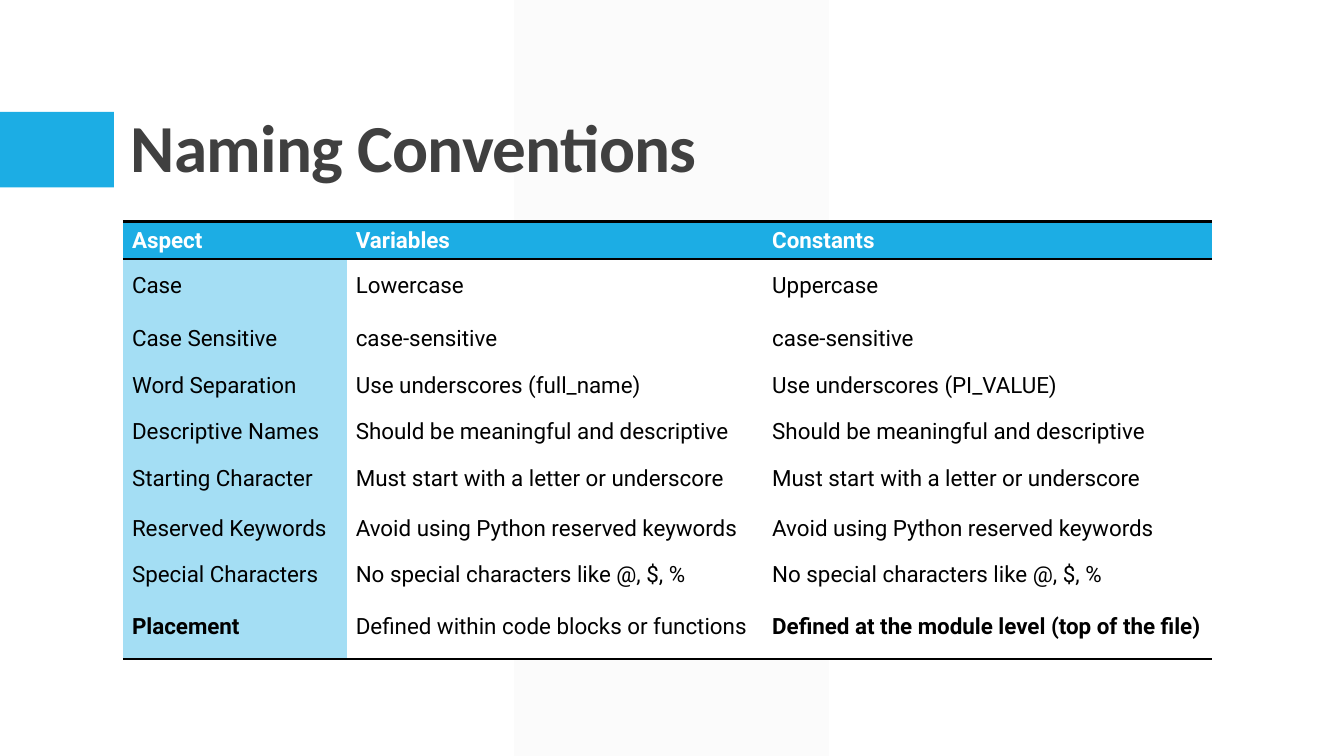
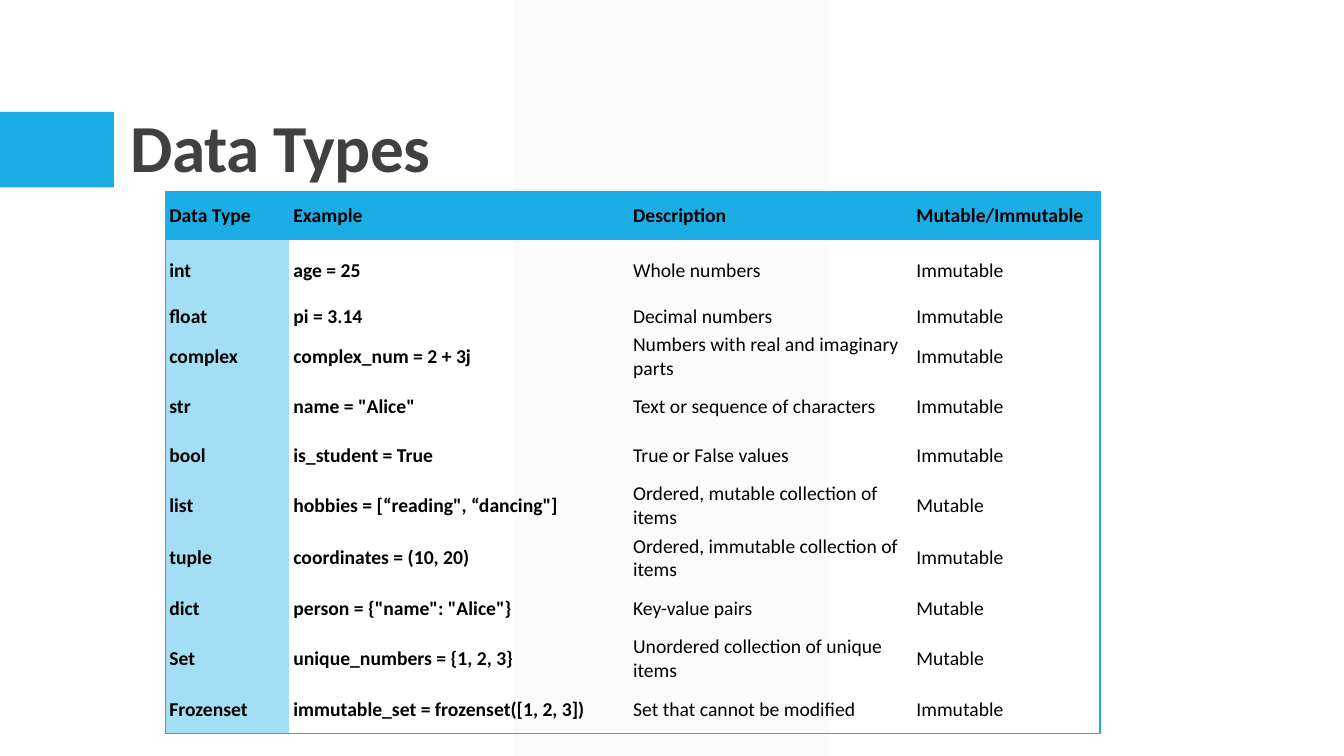
import pptx
import pptx.dml.color
import pptx.enum.shapes
import pptx.enum.text
import pptx.oxml.ns
import pptx.util
import lxml.etree

WIDE = pptx.util.Inches(13.33)
HIGH = pptx.util.Inches(7.5)
TONES = {
    "blue": "1CADE4",
    "pale": "A4DEF4",
    "band": "F2F2F2",
    "title": "404040",
    "ink": "000000",
    "white": "FFFFFF",
}
PLAIN = "{2D5ABB26-0587-4C30-8999-92F81FD0307C}"

NAMING = [
    ("Aspect", "Variables", "Constants"),
    ("Case", "Lowercase", "Uppercase"),
    ("Case Sensitive", "case-sensitive", "case-sensitive"),
    ("Word Separation", "Use underscores (full_name)", "Use underscores (PI_VALUE)"),
    ("Descriptive Names",) + ("Should be meaningful and descriptive",) * 2,
    ("Starting Character",) + ("Must start with a letter or underscore",) * 2,
    ("Reserved Keywords",) + ("Avoid using Python reserved keywords",) * 2,
    ("Special Characters",) + ("No special characters like @, $, %",) * 2,
    (
        "Placement",
        "Defined within code blocks or functions",
        "Defined at the module level (top of the file)",
    ),
]
TYPES = [
    ("Data Type", "Example", "Description", "Mutable/Immutable"),
    ("int", "age = 25", "Whole numbers", "Immutable"),
    ("float", "pi = 3.14", "Decimal numbers", "Immutable"),
    ("complex", "complex_num = 2 + 3j", "Numbers with real and imaginary parts", "Immutable"),
    ("str", 'name = "Alice"', "Text or sequence of characters", "Immutable"),
    ("bool", "is_student = True", "True or False values", "Immutable"),
    ("list", 'hobbies = [“reading", “dancing"]', "Ordered, mutable collection of items", "Mutable"),
    ("tuple", "coordinates = (10, 20)", "Ordered, immutable collection of items", "Immutable"),
    ("dict", 'person = {"name": "Alice"}', "Key-value pairs", "Mutable"),
    ("Set", "unique_numbers = {1, 2, 3}", "Unordered collection of unique items", "Mutable"),
    ("Frozenset", "immutable_set = frozenset([1, 2, 3])", "Set that cannot be modified", "Immutable"),
]


def tone(name):
    return pptx.dml.color.RGBColor.from_string(TONES[name])


def place(left, top, width, height):
    return [
        round(side * share / 100)
        for side, share in zip((WIDE, HIGH, WIDE, HIGH), (left, top, width, height))
    ]


def node(home, tag, **marks):
    return lxml.etree.SubElement(home, pptx.oxml.ns.qn(tag), **marks)


def write(frame, text, size=14, font="Calibri", color="ink", bold=False, track=0, lead=None):
    para = frame.paragraphs[0]
    para.line_spacing = lead
    run = para.add_run()
    run.text = text
    run.font.size = pptx.util.Pt(size)
    run.font.name = font
    run.font.bold = bold
    run.font.color.rgb = tone(color)
    if track:
        run.font._element.set("spc", str(track))


def block(slide, kind, box, color, alpha=None):
    shape = slide.shapes.add_shape(kind, *place(*box))
    shape.shadow.inherit = False
    shape.fill.solid()
    shape.fill.fore_color.rgb = tone(color)
    shape.line.fill.background()
    if alpha:
        fill = shape._element.spPr.find(pptx.oxml.ns.qn("a:solidFill"))
        node(fill[0], "a:alpha", val=str(alpha * 1000))
    return shape


def start(deck, title):
    slide = deck.slides.add_slide(deck.slide_layouts[6])
    kinds = pptx.enum.shapes.MSO_SHAPE
    band = block(slide, kinds.PARALLELOGRAM, (38.26, 0, 23.41, 100), "band", alpha=30)
    band.adjustments[0] = 0
    block(slide, kinds.RECTANGLE, (0, 14.8, 8.48, 10), "blue")
    frame = slide.shapes.add_textbox(*place(9, 4.13, 82.5, 21.2)).text_frame
    frame.word_wrap = True
    frame.vertical_anchor = pptx.enum.text.MSO_ANCHOR.BOTTOM
    write(frame, title, size=48, color="title", bold=True, track=-50, lead=0.9)
    return slide


def edge(cell, sides, color, width):
    props = cell._tc.get_or_add_tcPr()
    for side in "LRTB":
        if side in sides:
            line = node(props, "a:ln" + side, w=str(pptx.util.Pt(width)))
            node(node(line, "a:solidFill"), "a:srgbClr", val=TONES[color])


def divide(parts, total, shares):
    for part, share in zip(parts, shares):
        part_size = round(total * share / sum(shares))
        if hasattr(part, "width"):
            part.width = part_size
        else:
            part.height = part_size


def grid(slide, rows, box, cols, highs, pad, style):
    spot = place(*box)
    table = slide.shapes.add_table(len(rows), len(cols), *spot).table
    table.first_row = table.horz_banding = False
    table._tbl.tblPr.find(pptx.oxml.ns.qn("a:tableStyleId")).text = PLAIN
    divide(table.columns, spot[2], cols)
    divide(table.rows, spot[3], highs)
    for r, row in enumerate(rows):
        for c, text in enumerate(row):
            cell = table.cell(r, c)
            cell.margin_left = cell.margin_right = pptx.util.Inches(pad)
            cell.margin_top = cell.margin_bottom = pptx.util.Inches(pad / 2)
            cell.vertical_anchor = pptx.enum.text.MSO_ANCHOR.MIDDLE
            look = style(r, c, r == len(rows) - 1, c == len(cols) - 1)
            edge(cell, *look["edge"])
            fill = "blue" if r == 0 else "pale" if c == 0 else look["fill"]
            if fill:
                cell.fill.solid()
                cell.fill.fore_color.rgb = tone(fill)
            else:
                cell.fill.background()
            write(cell.text_frame, text, **look["text"])


def ruled(r, c, last, end):
    sides = "TB" if r == 0 else "B" if last else ""
    return {
        "edge": (sides, "ink", 2),
        "fill": "white",
        "text": {
            "size": 16,
            "font": "Roboto",
            "color": "white" if r == 0 else "ink",
            "bold": r == 0 or (last and c != 1),
        },
    }


def boxed(r, c, last, end):
    sides = "L" * (c == 0) + "R" * end + "T" * (r == 0) + "B" * last
    return {
        "edge": (sides, "blue", 1),
        "fill": None,
        "text": {"bold": r == 0 or c < 2},
    }


def main():
    deck = pptx.Presentation()
    deck.slide_width, deck.slide_height = WIDE, HIGH
    grid(
        start(deck, "Naming Conventions"), NAMING,
        box=(9.15, 29.33, 81.02, 57.87),
        cols=(222, 413, 445),
        highs=(37, 54, 50, 43, 50, 43, 55, 37, 65),
        pad=0.09, style=ruled,
    )
    grid(
        start(deck, "Data Types"), TYPES,
        box=(12.3, 25.33, 69.54, 71.73),
        cols=(123, 337, 281, 186),
        highs=(48, 62, 28, 52, 48, 48, 52, 52, 48, 52, 48),
        pad=0.04, style=boxed,
    )
    deck.save("out.pptx")


if __name__ == "__main__":
    main()
